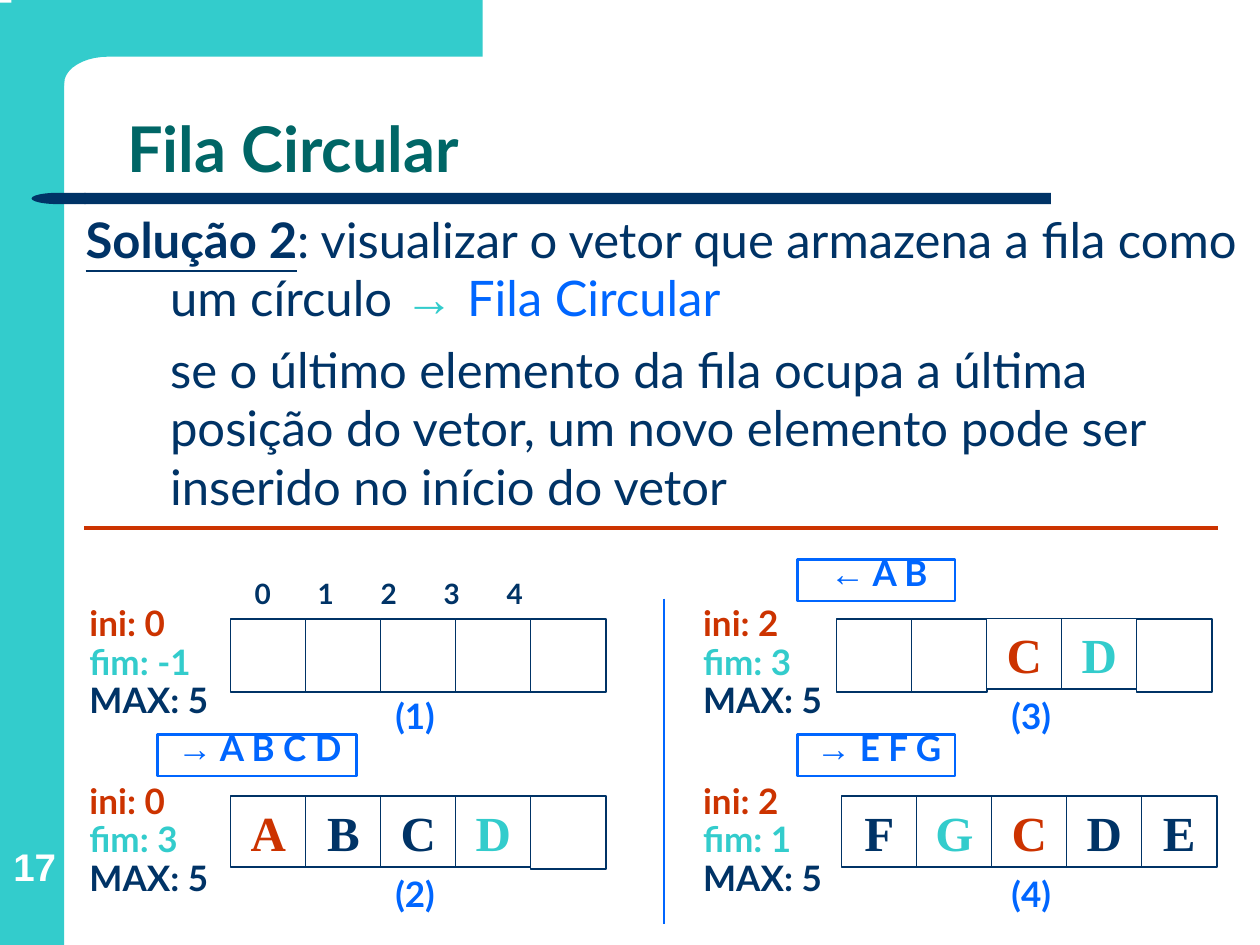
import math

import pptx
import pptx.dml.color
import pptx.enum.shapes
import pptx.enum.text
import pptx.oxml
import pptx.oxml.ns
import pptx.util

Inches = pptx.util.Inches
Shape = pptx.enum.shapes.MSO_SHAPE
Align = pptx.enum.text.PP_ALIGN
Anchor = pptx.enum.text.MSO_ANCHOR

TEAL, NAVY, GREEN = "33CCCC", "003366", "006666"
RED, BLUE, WHITE = "CC3300", "0066FF", "FFFFFF"
CELL_WIDTH = 0.6
CELL_PITCH = 2.38 / 4


def color(value):
    return pptx.dml.color.RGBColor.from_string(value)


def add_xml(parent, tag, content=""):
    namespace = pptx.oxml.ns.nsdecls("a")
    parent.append(pptx.oxml.parse_xml(f"<a:{tag} {namespace}>{content}</a:{tag}>"))


class SlideBuilder:
    font = "Lato"
    symbol_font = "Arial"
    cell_font = "Times New Roman"

    def __init__(self, slide):
        self.slide = slide

    def run(self, paragraph, text, size, fill, bold=True, font=None, underline=False):
        run = paragraph.add_run()
        run.text = text
        run.font.size = pptx.util.Pt(size)
        run.font.name = font or self.font
        run.font.bold = bold
        run.font.underline = underline
        run.font.color.rgb = color(fill)

    def paragraph(self, frame, first, align=Align.LEFT, margin=0, indent=0,
                  spacing=1.0, before=0, after=0):
        paragraph = frame.paragraphs[0] if first else frame.add_paragraph()
        paragraph.alignment = align
        paragraph.line_spacing = spacing
        paragraph.space_before = pptx.util.Pt(before)
        paragraph.space_after = pptx.util.Pt(after)
        properties = paragraph._p.get_or_add_pPr()
        properties.set("marL", str(Inches(margin)))
        properties.set("indent", str(Inches(indent)))
        add_xml(properties, "buNone")
        return paragraph

    def tight_paragraph(self, frame, first=True, align=Align.LEFT):
        return self.paragraph(frame, first, align, 0.38, -0.38, 0.5, 5, 5)

    def frame(self, shape, insets, anchor=Anchor.TOP):
        frame = shape.text_frame
        frame.word_wrap = True
        frame.auto_size = pptx.enum.text.MSO_AUTO_SIZE.NONE
        frame.vertical_anchor = anchor
        (frame.margin_left, frame.margin_top,
         frame.margin_right, frame.margin_bottom) = map(Inches, insets)
        return frame

    def placeholder(self, index, box, anchor=Anchor.TOP):
        shape = self.slide.placeholders[index]
        shape.left, shape.top, shape.width, shape.height = map(Inches, box)
        return self.frame(shape, (0.1, 0.05, 0.1, 0.05), anchor)

    def textbox(self, box, insets=(0, 0, 0, 0), anchor=Anchor.TOP):
        return self.frame(self.slide.shapes.add_textbox(*map(Inches, box)), insets, anchor)

    def style(self, shape, fill=None, line=None, width=1):
        shape.shadow.inherit = False
        if fill:
            shape.fill.solid()
            shape.fill.fore_color.rgb = color(fill)
        else:
            shape.fill.background()
        if line:
            shape.line.color.rgb = color(line)
            shape.line.width = pptx.util.Pt(width)
        else:
            shape.line.fill.background()
        return shape

    def shape(self, kind, box, fill=None, line=None, width=1):
        shape = self.slide.shapes.add_shape(kind, *map(Inches, box))
        return self.style(shape, fill, line, width)

    def line(self, start, end, fill, width):
        straight = pptx.enum.shapes.MSO_CONNECTOR.STRAIGHT
        connector = self.slide.shapes.add_connector(straight, *map(Inches, start + end))
        connector.line.color.rgb = color(fill)
        connector.line.width = pptx.util.Pt(width)
        add_xml(connector._element.spPr, "effectLst")

    def corner(self):
        angles = [math.radians(90 + 9 * step) for step in range(11)]
        curve = [(0.86 + 0.35 * math.cos(a), 0.66 - 0.21 * math.sin(a)) for a in angles]
        outline = [(3.83, 0.45)] + curve + [(0.51, 0.68), (0.09, 0.68), (0.09, 0)]
        builder = self.slide.shapes.build_freeform(Inches(3.83), 0, scale=1.0)
        builder.add_line_segments([(Inches(x), Inches(y)) for x, y in outline], close=True)
        self.style(builder.convert_to_shape(), TEAL)

    def cells(self, left, top, letters, first, last):
        for index, letter in enumerate(letters):
            height = 0.56 if letter else 0.58
            box = (left + index * CELL_PITCH, top, CELL_WIDTH, height)
            cell = self.shape(Shape.RECTANGLE, box, WHITE, NAVY)
            if letter:
                frame = self.frame(cell, (0.1, 0.05, 0.1, 0.05))
                fill = {first: RED, last: TEAL}.get(index, NAVY)
                paragraph = self.paragraph(frame, True, Align.CENTER)
                self.run(paragraph, letter, 28, fill, font=self.cell_font)

    def state(self, left, top, first, last):
        frame = self.textbox((left, top, 1.25, 0.67), (0, 0.08, 0, 0))
        entries = [(f"ini: {first}", RED), (f"fim: {last}", TEAL), ("MAX: 5", NAVY)]
        for index, (text, fill) in enumerate(entries):
            self.run(self.tight_paragraph(frame, index == 0), text, 20, fill)

    def caption(self, left, top, text):
        frame = self.textbox((left, top, 0.67, 0.42), (0.08,) * 4)
        self.run(self.tight_paragraph(frame, align=Align.CENTER), text, 20, BLUE)

    def operation(self, box, arrow, items):
        shape = self.shape(Shape.RECTANGLE, box, line=BLUE, width=1.5)
        frame = self.frame(shape, (0.08, 0.08, 0.04, 0.08))
        paragraph = self.tight_paragraph(frame, align=Align.CENTER)
        self.run(paragraph, arrow, 20, BLUE, font=self.symbol_font)
        self.run(paragraph, " " + items, 20, BLUE)

    def indices(self):
        frame = self.textbox((2.02, 4.69, 2.81, 0.31))
        paragraph = self.paragraph(frame, True, spacing=0.5, before=4, after=4)
        stops = "".join(f'<a:tab pos="{Inches(0.51 * n)}" algn="l"/>' for n in range(1, 5))
        add_xml(paragraph._p.pPr, "tabLst", stops)
        self.run(paragraph, "\t".join("01234"), 16, NAVY)


def main():
    presentation = pptx.Presentation()
    presentation.slide_width, presentation.slide_height = Inches(10), Inches(7.5)
    slide = presentation.slides.add_slide(presentation.slide_layouts[1])
    builder = SlideBuilder(slide)

    builder.shape(Shape.RECTANGLE, (0, 0.02, 0.51, 7.48), TEAL)
    builder.corner()
    builder.shape(Shape.RECTANGLE, (0.67, 1.53, 7.67, 0.09), NAVY)
    builder.shape(Shape.FLOWCHART_DELAY, (0.25, 1.53, 0.43, 0.09), NAVY).rotation = 180

    number = builder.textbox((0.03, 6.52, 0.49, 0.54), anchor=Anchor.BOTTOM)
    builder.run(builder.paragraph(number, True, Align.CENTER), "17", 22, WHITE,
                font=builder.symbol_font)

    title = builder.placeholder(0, (0.91, 0.44, 8.51, 1.09), Anchor.BOTTOM)
    builder.run(builder.paragraph(title, True, spacing=0.9), "Fila Circular", 36, GREEN)

    body = builder.placeholder(1, (0.58, 1.61, 9.42, 5.64))
    solution = builder.paragraph(body, True, margin=0.67, indent=-0.67, before=7)
    builder.run(solution, "Solução 2", 28, NAVY, underline=True)
    builder.run(solution, ": visualizar o vetor que armazena a fila como um círculo ",
                28, NAVY, bold=False)
    builder.run(solution, "→ ", 28, TEAL, font=builder.symbol_font)
    builder.run(solution, "Fila Circular", 28, BLUE, bold=False)
    detail = builder.paragraph(body, False, margin=0.67, before=7)
    builder.run(detail, "se o último elemento da fila ocupa a última posição do vetor, "
                "um novo elemento pode ser inserido no início do vetor", 28, NAVY, bold=False)

    queues = [
        (0.71, 1.83, 2.96, 4.91, ["", "", "", "", ""], 0, -1),
        (0.71, 1.83, 2.96, 6.32, ["A", "B", "C", "D", ""], 0, 3),
        (5.58, 6.64, 7.85, 4.91, ["", "", "C", "D", ""], 2, 3),
        (5.58, 6.68, 7.85, 6.32, ["F", "G", "C", "D", "E"], 2, 1),
    ]
    for index, (state, cells, caption, top, letters, first, last) in enumerate(queues, 1):
        builder.cells(cells, top, letters, first, last)
        builder.state(state, top - 0.07, first, last)
        builder.caption(caption, top + 0.67, f"({index})")

    builder.line((5.27, 4.75), (5.27, 7.33), BLUE, 0.75)
    builder.operation((1.25, 5.83, 1.58, 0.33), "→", "A B C D")
    builder.operation((6.33, 4.44, 1.25, 0.33), "←", "A B")
    builder.operation((6.33, 5.83, 1.25, 0.33), "→", "E F G")
    builder.indices()
    builder.line((0.67, 4.19), (9.67, 4.19), RED, 2.25)
    presentation.save("out.pptx")


if __name__ == "__main__":
    main()
